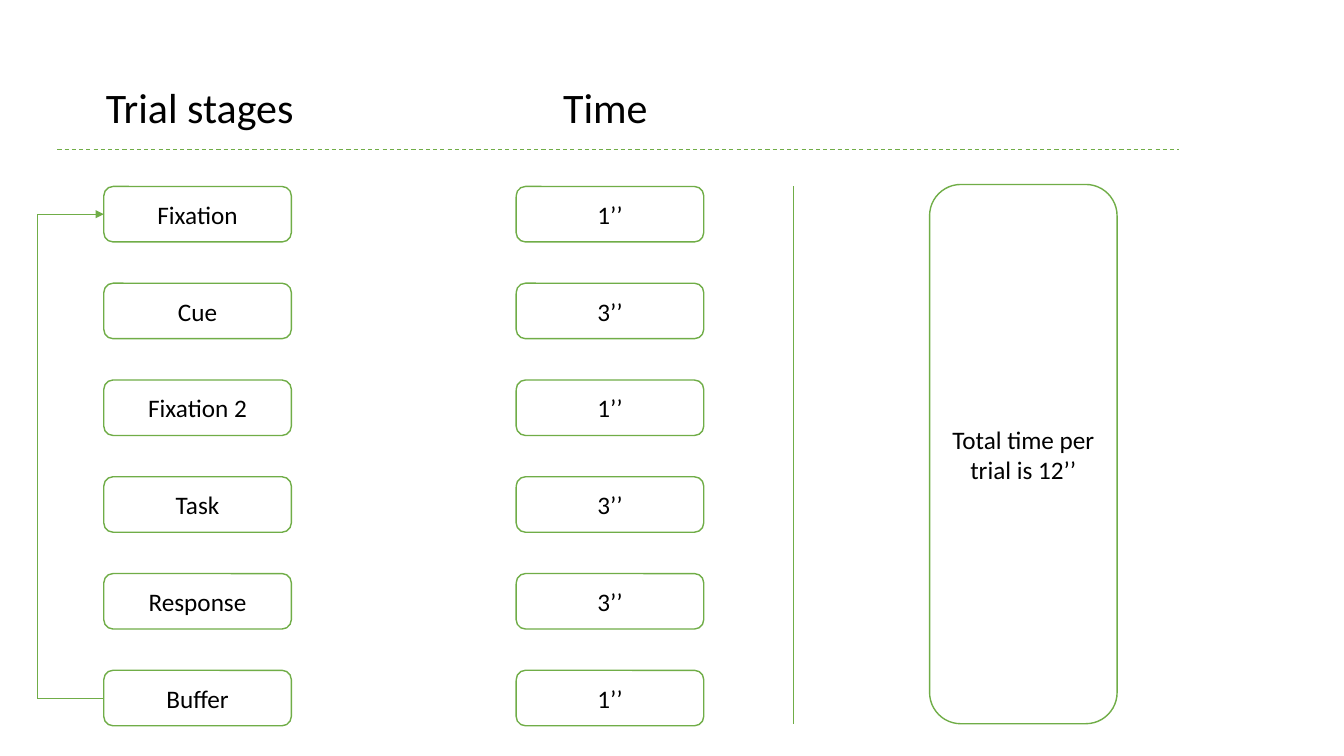
from dataclasses import dataclass

from lxml import etree
from pptx import Presentation
from pptx import util as u
from pptx.dml.color import RGBColor
from pptx.enum import dml, shapes, text
from pptx.oxml.ns import qn


@dataclass(frozen=True)
class Theme:
    font: str = "Calibri"
    ink: RGBColor = RGBColor(0x00, 0x00, 0x00)
    paper: RGBColor = RGBColor(0xFF, 0xFF, 0xFF)
    green: RGBColor = RGBColor(0x70, 0xAD, 0x47)
    heading_size: int = 30
    box_size: int = 18
    box_line: float = 1
    thin_line: float = 0.5
    divider_line: float = 0.75


THEME = Theme()

STAGES = [
    ("Fixation", "1’’"),
    ("Cue", "3’’"),
    ("Fixation 2", "1’’"),
    ("Task", "3’’"),
    ("Response", "3’’"),
    ("Buffer", "1’’"),
]

# Layout in inches
STAGE_LEFT, TIME_LEFT, TOTAL_LEFT = 1.03, 5.12, 9.22
BOX_WIDTH, BOX_HEIGHT = 1.86, 0.55
FIRST_TOP, ROW_PITCH = 1.85, 0.96
LOOP_X = 0.37


def write(shape, wording, size, align, spacing=1.0):
    frame = shape.text_frame
    frame.text = wording
    frame.word_wrap = True
    frame.auto_size = text.MSO_AUTO_SIZE.NONE
    frame.vertical_anchor = text.MSO_ANCHOR.MIDDLE
    paragraph = frame.paragraphs[0]
    paragraph.alignment = align
    paragraph.line_spacing = spacing
    font = paragraph.runs[0].font
    font.name, font.size = THEME.font, u.Pt(size)
    font.color.rgb = THEME.ink


def place_heading(heading, left, wording, align):
    heading.left, heading.top = u.Inches(left), u.Inches(0.37)
    heading.width, heading.height = u.Inches(3.49), u.Inches(1.45)
    write(heading, wording, THEME.heading_size, align, 0.9)


def add_box(slide, left, top, height, wording):
    box = slide.shapes.add_shape(
        shapes.MSO_SHAPE.ROUNDED_RECTANGLE,
        u.Inches(left), u.Inches(top), u.Inches(BOX_WIDTH), u.Inches(height))
    box.shadow.inherit = False
    box.fill.solid()
    box.fill.fore_color.rgb = THEME.paper
    box.line.color.rgb = THEME.green
    box.line.width = u.Pt(THEME.box_line)
    write(box, wording, THEME.box_size, text.PP_ALIGN.CENTER)
    return box


def add_line(slide, start, end, width=THEME.thin_line):
    line = slide.shapes.add_connector(
        shapes.MSO_CONNECTOR.STRAIGHT, *map(u.Inches, start + end))
    line.line.color.rgb = THEME.green
    line.line.width = u.Pt(width)
    etree.SubElement(line._element.spPr, qn("a:effectLst"))
    return line


def add_loop(slide, buffer, fixation):
    """Lead from the last stage back to the first one."""
    fixation_y = FIRST_TOP + BOX_HEIGHT / 2
    buffer_y = fixation_y + ROW_PITCH * (len(STAGES) - 1)
    leave = add_line(slide, (STAGE_LEFT, buffer_y), (LOOP_X, buffer_y))
    leave.begin_connect(buffer, 1)
    add_line(slide, (LOOP_X, buffer_y), (LOOP_X, fixation_y))
    back = add_line(slide, (LOOP_X, fixation_y), (STAGE_LEFT, fixation_y))
    back.end_connect(fixation, 1)
    etree.SubElement(back.line._get_or_add_ln(), qn("a:tailEnd"), type="triangle")


def main():
    deck = Presentation()
    deck.slide_width, deck.slide_height = u.Inches(13.33), u.Inches(7.5)
    slide = deck.slides.add_slide(deck.slide_layouts[5])

    # Headings and divider
    place_heading(slide.shapes.title, 0.95, "Trial stages", text.PP_ALIGN.LEFT)
    time_heading = slide.shapes.add_textbox(0, 0, 0, 0)
    place_heading(time_heading, 4.26, "Time", text.PP_ALIGN.CENTER)
    divider = add_line(slide, (0.57, 1.48), (11.69, 1.48), THEME.divider_line)
    divider.line.dash_style = dml.MSO_LINE.DASH

    # Stages with their durations
    stage_boxes = []
    for row, (stage, duration) in enumerate(STAGES):
        top = FIRST_TOP + row * ROW_PITCH
        stage_boxes.append(add_box(slide, STAGE_LEFT, top, BOX_HEIGHT, stage))
        add_box(slide, TIME_LEFT, top, BOX_HEIGHT, duration)
    add_loop(slide, stage_boxes[-1], stage_boxes[0])

    # Total time
    add_line(slide, (7.87, FIRST_TOP), (7.87, 7.18))
    add_box(slide, TOTAL_LEFT, 1.83, 5.35, "Total time per trial is 12’’")

    deck.save("out.pptx")


if __name__ == "__main__":
    main()
